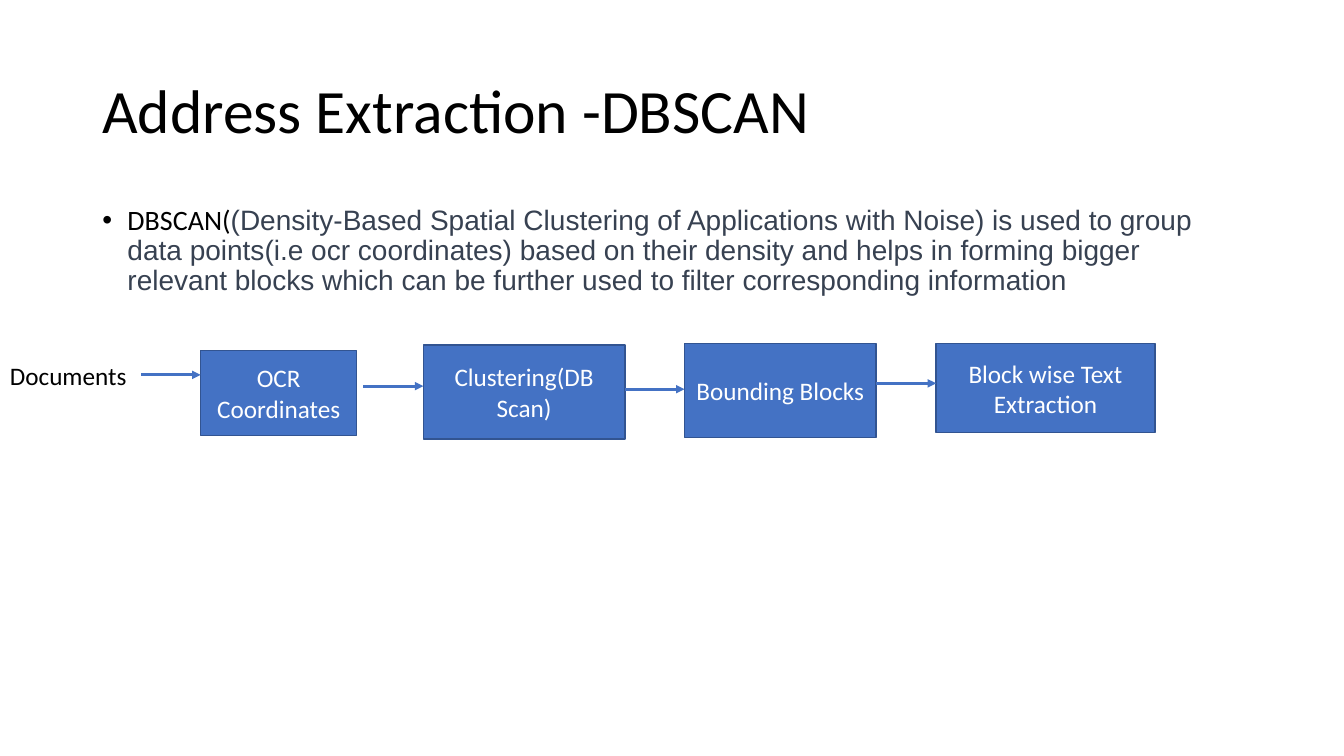
from pptx import Presentation
from pptx.dml.color import RGBColor as RGB
from pptx.enum.shapes import MSO_CONNECTOR as CONN, MSO_SHAPE as SHAPE
from pptx.enum.text import MSO_ANCHOR as ANCHOR, PP_ALIGN as ALIGN
from pptx.oxml.ns import qn
from pptx.util import Pt
from lxml import etree

COLORS = {"text": "000000", "body": "374151", "box": "4472C4",
          "edge": "325491", "white": "FFFFFF"}

prs = Presentation()
prs.slide_width, prs.slide_height = Pt(960), Pt(540)
s = prs.slides.add_slide(prs.slide_layouts[6])


def add_text(sp, text, size=18, font="Calibri", color="text",
             align=ALIGN.LEFT, anchor=ANCHOR.TOP, spacing=1.0):
    """Append a run to the first paragraph of a shape and format it."""
    tf = sp.text_frame
    tf.word_wrap = True
    tf.vertical_anchor = anchor
    p = tf.paragraphs[0]
    p.alignment, p.line_spacing = align, spacing
    r = p.add_run()
    r.text = text
    r.font.size, r.font.name = Pt(size), font
    r.font.color.rgb = RGB.from_string(COLORS[color])
    return p


# Title
title = s.shapes.add_textbox(Pt(66), Pt(28.75), Pt(828), Pt(104.4))
add_text(title, "Address Extraction -DBSCAN", size=44,
         anchor=ANCHOR.MIDDLE, spacing=0.9)

# Bulleted description
body = s.shapes.add_textbox(Pt(66), Pt(143.75), Pt(828), Pt(342.7))
add_text(body, "DBSCAN(", size=20, spacing=0.9)
p = add_text(body, "(Density-Based Spatial Clustering of Applications with Noise) "
             "is used to group data points(i.e ocr coordinates) based on their "
             "density and helps in forming bigger relevant blocks which can be "
             "further used to filter corresponding information",
             size=20, font="Arial", color="body", spacing=0.9)
p.space_before = Pt(10)
pPr = p._p.get_or_add_pPr()
pPr.set("marL", str(Pt(18)))
pPr.set("indent", str(-Pt(18)))
etree.SubElement(pPr, qn("a:buFont")).set("typeface", "Arial")
etree.SubElement(pPr, qn("a:buChar")).set("char", "•")

# Process steps: label, left, top, width, height
steps = [
    ("OCR Coordinates", 143.3, 250.5, 111.6, 60.5),
    ("Clustering(DB Scan)", 302.4, 246.5, 144, 67),
    ("Bounding Blocks", 489, 245.5, 136.8, 67),
    ("Block wise Text Extraction", 668.7, 245.5, 156.3, 63.4),
]
for label, *frame in steps:
    sp = s.shapes.add_shape(SHAPE.RECTANGLE, *map(Pt, frame))
    sp.shadow.inherit = False
    sp.fill.solid()
    sp.fill.fore_color.rgb = RGB.from_string(COLORS["box"])
    sp.line.color.rgb = RGB.from_string(COLORS["edge"])
    sp.line.width = Pt(1)
    add_text(sp, label, color="white", align=ALIGN.CENTER, anchor=ANCHOR.MIDDLE)

# Input label
documents = s.shapes.add_textbox(Pt(0), Pt(253.5), Pt(100.8), Pt(29))
add_text(documents, "Documents")

# Arrows, each ending at the left edge of its step
arrows = [(101, 267.8), (259.5, 275.8), (446.4, 278), (625.8, 273.8)]
for (start, y), (_, left, *_) in zip(arrows, steps):
    arrow = s.shapes.add_connector(CONN.STRAIGHT, Pt(start), Pt(y), Pt(left), Pt(y))
    arrow.line.color.rgb = RGB.from_string(COLORS["box"])
    arrow.line.width = Pt(2)
    etree.SubElement(arrow.line._get_or_add_ln(), qn("a:tailEnd")).set("type", "triangle")
    etree.SubElement(arrow._element.spPr, qn("a:effectLst"))

prs.save("out.pptx")
